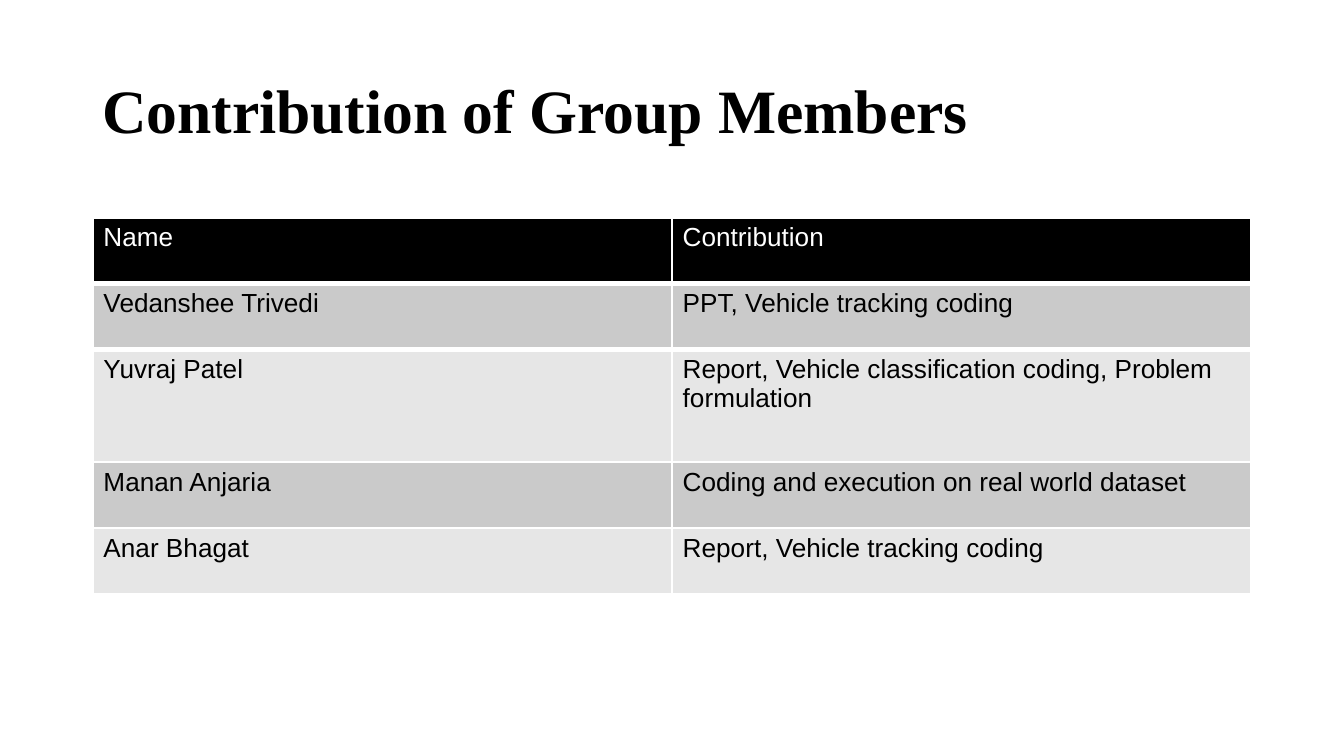
from dataclasses import dataclass

from lxml import etree
from pptx import Presentation
from pptx.dml.color import RGBColor
from pptx.enum import text
from pptx.oxml import ns
from pptx.util import Inches, Pt


@dataclass(frozen=True)
class Theme:
    ink: RGBColor = RGBColor(0x00, 0x00, 0x00)
    paper: RGBColor = RGBColor(0xFF, 0xFF, 0xFF)
    bands: tuple = (RGBColor(0xCA, 0xCA, 0xCA), RGBColor(0xE6, 0xE6, 0xE6))
    title_font: str = "Times New Roman"
    body_font: str = "Arial"
    title_size: int = 33
    body_size: int = 14


THEME = Theme()
LEFT, WIDTH = 0.69, 8.62
ROW_HEIGHT, TALL_ROW_HEIGHT = 0.49, 0.84
TALL_ROW = 2
HEADER_RULES = {"lnL": 1, "lnR": 1, "lnT": 1, "lnB": 3}

CONTRIBUTIONS = [
    ("Name", "Contribution"),
    ("Vedanshee Trivedi", "PPT, Vehicle tracking coding"),
    ("Yuvraj Patel", "Report, Vehicle classification coding, Problem formulation"),
    ("Manan Anjaria", "Coding and execution on real world dataset"),
    ("Anar Bhagat", "Report, Vehicle tracking coding"),
]


def style_font(font, name, size, color, bold):
    font.name = name
    font.size = Pt(size)
    font.color.rgb = color
    font.bold = bold


def set_title(page, words):
    title = page.shapes.title
    title.left, title.top = Inches(LEFT), Inches(0.3)
    title.width, title.height = Inches(WIDTH), Inches(1.09)
    frame = title.text_frame
    frame.text = words
    frame.word_wrap = True
    frame.vertical_anchor = text.MSO_ANCHOR.MIDDLE
    frame.margin_left = frame.margin_right = Inches(0.07)
    frame.margin_top = frame.margin_bottom = Inches(0.04)
    para = frame.paragraphs[0]
    para.alignment = text.PP_ALIGN.LEFT
    para.line_spacing = 0.9
    style_font(para.font, THEME.title_font, THEME.title_size, THEME.ink, True)


def fill_cell(cell, words, fill, color):
    cell.text = words
    cell.fill.solid()
    cell.fill.fore_color.rgb = fill
    cell.margin_left = cell.margin_right = Inches(0.08)
    cell.margin_top = cell.margin_bottom = Inches(0.04)
    font = cell.text_frame.paragraphs[0].font
    style_font(font, THEME.body_font, THEME.body_size, color, False)


def rule_cell(cell, rules):
    """Draw cell borders; they must stand before the fill."""
    properties = cell._tc.get_or_add_tcPr()
    for position, (side, points) in enumerate(rules.items()):
        line = etree.Element(ns.qn(f"a:{side}"), w=str(Pt(points)))
        fill = etree.SubElement(line, ns.qn("a:solidFill"))
        etree.SubElement(fill, ns.qn("a:srgbClr"), val=str(THEME.paper))
        properties.insert(position, line)


def add_contribution_table(page, rows):
    heights = [TALL_ROW_HEIGHT if i == TALL_ROW else ROW_HEIGHT
               for i in range(len(rows))]
    # The default table style supplies the white rules of the body
    table = page.shapes.add_table(
        len(rows), len(rows[0]), Inches(LEFT), Inches(1.62),
        Inches(WIDTH), Inches(sum(heights))).table
    for i, (row, height) in enumerate(zip(rows, heights)):
        table.rows[i].height = Inches(height)
        if i == 0:
            fill, color = THEME.ink, THEME.paper
        else:
            fill, color = THEME.bands[(i - 1) % 2], THEME.ink
        for j, words in enumerate(row):
            fill_cell(table.cell(i, j), words, fill, color)
            if i == 0:
                rule_cell(table.cell(i, j), HEADER_RULES)
            elif i == 1:
                rule_cell(table.cell(i, j), {"lnT": HEADER_RULES["lnB"]})


def main():
    # Widescreen page, 16:9
    deck = Presentation()
    deck.slide_width = Inches(10)
    deck.slide_height = Inches(10 * 9 / 16)
    page = deck.slides.add_slide(deck.slide_layouts[5])

    # Heading
    set_title(page, "Contribution of Group Members")

    # Who did what
    add_contribution_table(page, CONTRIBUTIONS)

    deck.save("out.pptx")


if __name__ == "__main__":
    main()
